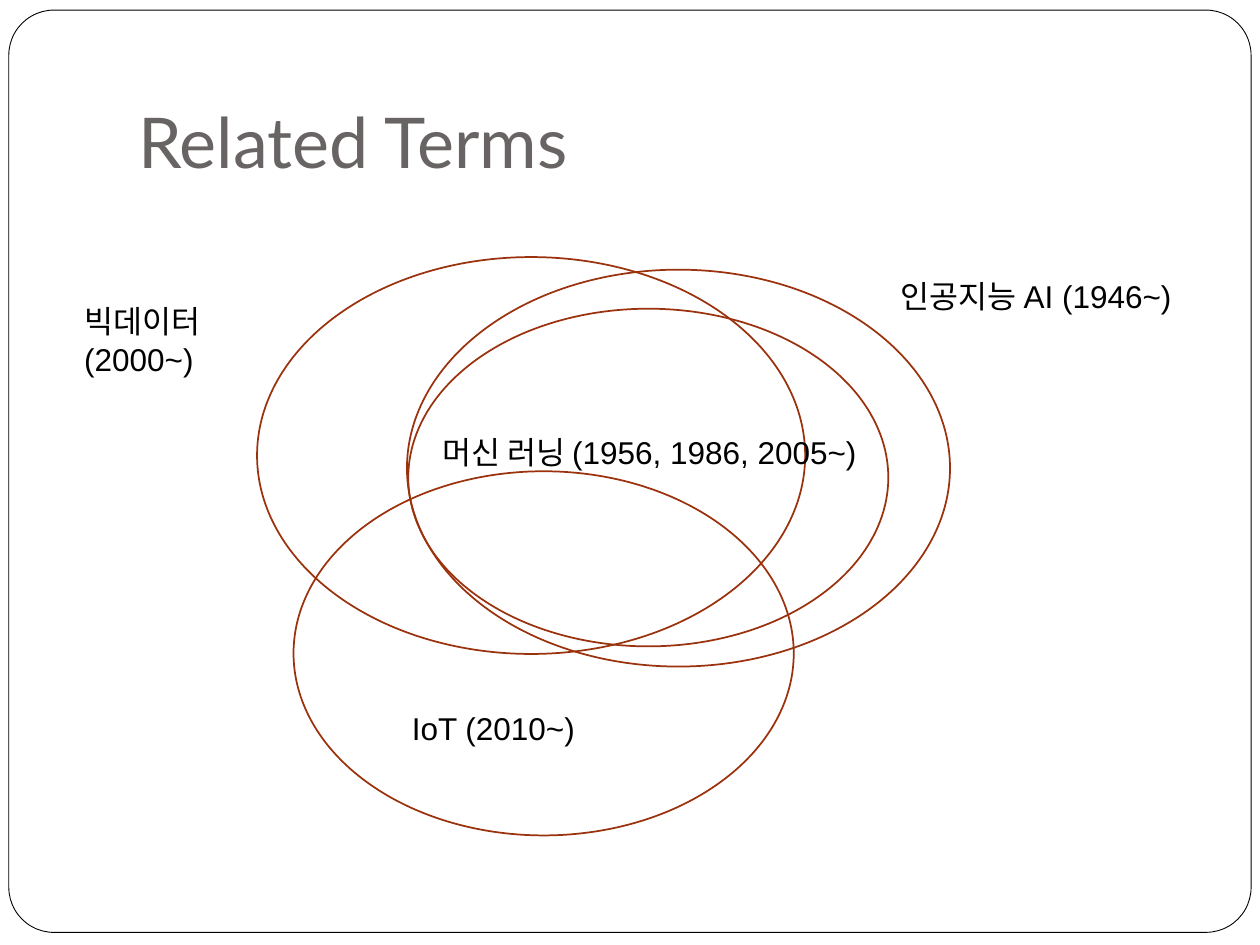
import pptx
import pptx.util
import pptx.dml.color
import pptx.enum.shapes
import pptx.enum.text

Pt = pptx.util.Pt
SHAPES = pptx.enum.shapes.MSO_SHAPE
ANCHORS = pptx.enum.text.MSO_ANCHOR

COLORS = {"paper": "FFFFFF", "frame": "000000", "title": "696464",
          "circle": "9B320E", "label": "000000"}

# Boxes are left, top, width, height in points.
FRAME = (5.04, 5.76, 709.92, 527.04)
FRAME_ROUNDING = 0.049
TITLE = ("Related Terms", (72, 21.6, 612, 90))
TERMS = [
    {"label": "빅데이터 (2000~)",
     "circle": (146.88, 146.88, 313.2, 226.8), "box": (41.04, 169.2, 118.8, 50.4)},
    {"label": "인공지능 AI (1946~)",
     "circle": (232.56, 154.08, 310.32, 226.8), "box": (507.6, 154.8, 241.92, 28.8)},
    {"label": "머신 러닝 (1956, 1986, 2005~)",
     "circle": (233.28, 176.4, 274.32, 192.96), "box": (245.52, 244.08, 272.88, 28.8)},
    {"label": "IoT (2010~)",
     "circle": (167.76, 269.28, 285.84, 208.08), "box": (228.24, 401.76, 218.16, 28.8)},
]


def color(name):
    return pptx.dml.color.RGBColor.from_string(COLORS[name])


def add_outline(slide, kind, box, line_color, line_width, fill=None):
    shape = slide.shapes.add_shape(kind, *map(Pt, box))
    shape.shadow.inherit = False
    if fill:
        shape.fill.solid()
        shape.fill.fore_color.rgb = color(fill)
    else:
        shape.fill.background()
    shape.line.color.rgb = color(line_color)
    shape.line.width = Pt(line_width)
    return shape


def add_text(slide, text, box, font_name, size, text_color,
             anchor=ANCHORS.TOP, bottom=3.6):
    frame = slide.shapes.add_textbox(*map(Pt, box)).text_frame
    frame.word_wrap = True
    frame.vertical_anchor = anchor
    frame.margin_left = frame.margin_right = Pt(7.2)
    frame.margin_top = Pt(3.6)
    frame.margin_bottom = Pt(bottom)
    run = frame.paragraphs[0].add_run()
    run.text = text
    run.font.name = font_name
    run.font.size = Pt(size)
    run.font.color.rgb = color(text_color)


def main():
    presentation = pptx.Presentation()
    presentation.slide_width = Pt(720)
    presentation.slide_height = Pt(540)
    slide = presentation.slides.add_slide(presentation.slide_layouts[6])

    frame = add_outline(slide, SHAPES.ROUNDED_RECTANGLE, FRAME, "frame", 0.5, "paper")
    frame.adjustments[0] = FRAME_ROUNDING
    add_text(slide, *TITLE, "Lato", 40, "title", ANCHORS.BOTTOM, 7.2)
    for term in TERMS:
        add_outline(slide, SHAPES.OVAL, term["circle"], "circle", 1)
    for term in TERMS:
        add_text(slide, term["label"], term["box"], "Arial", 18, "label")

    presentation.save("out.pptx")


if __name__ == "__main__":
    main()
